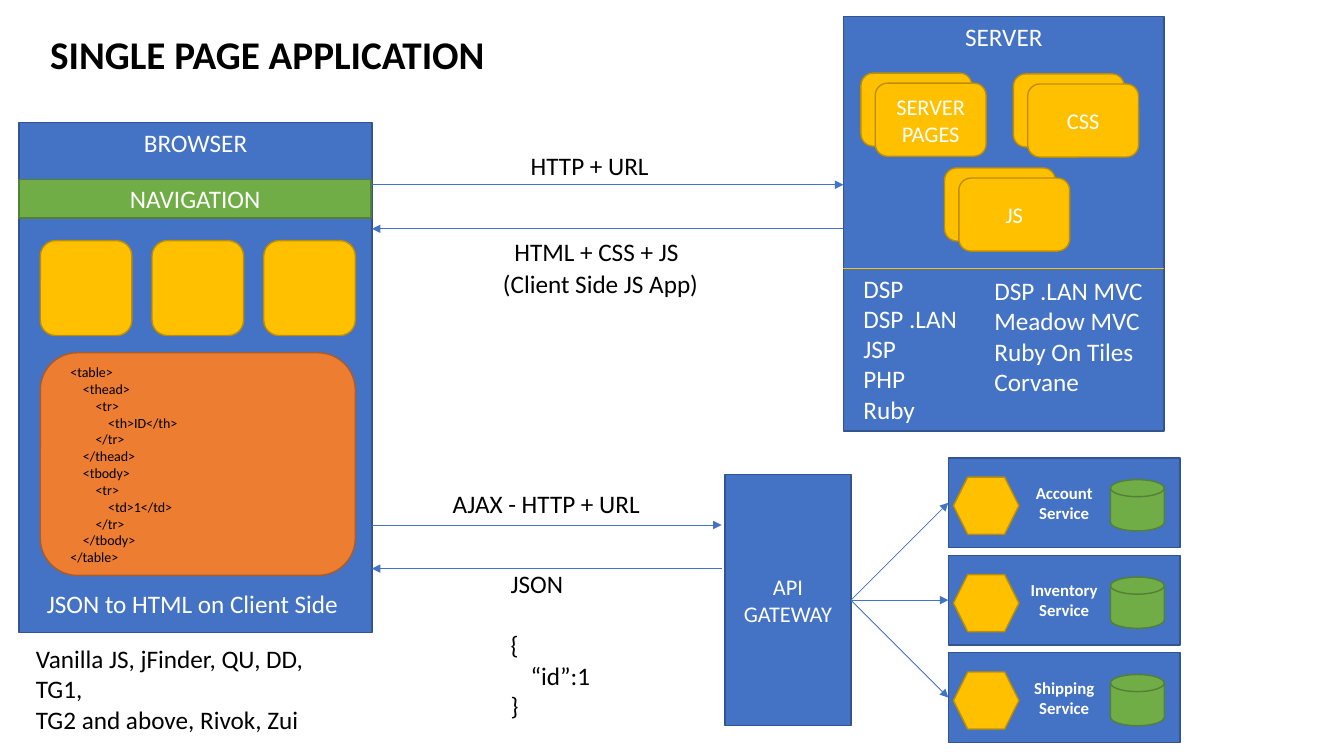
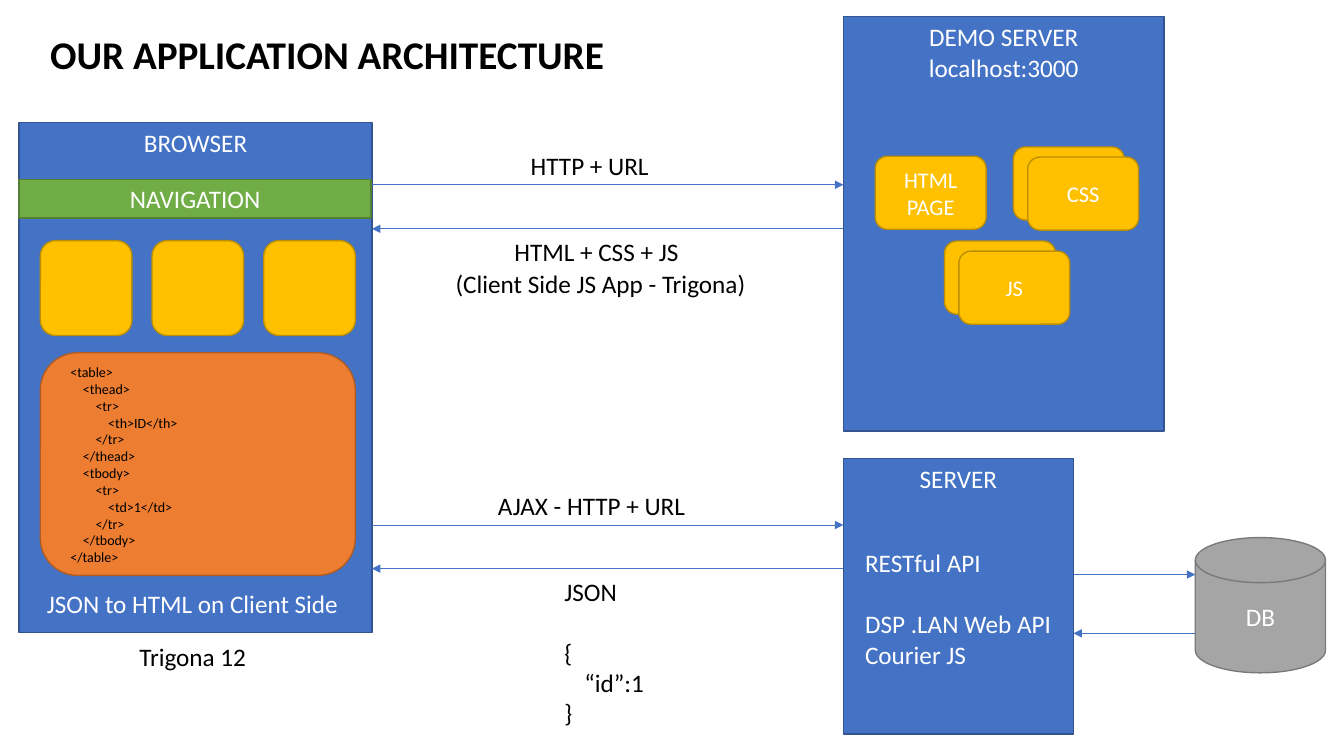
from pptx import Presentation
from pptx.dml.color import RGBColor
from pptx.enum.shapes import MSO_CONNECTOR, MSO_SHAPE
from pptx.enum.text import MSO_ANCHOR, MSO_AUTO_SIZE, PP_ALIGN
from pptx.oxml.ns import qn
from pptx.util import Inches, Pt
from lxml import etree

RECT, ROUND = MSO_SHAPE.RECTANGLE, MSO_SHAPE.ROUNDED_RECTANGLE
HEX, DISK = MSO_SHAPE.HEXAGON, MSO_SHAPE.FLOWCHART_MAGNETIC_DISK
LEFT, MID = PP_ALIGN.LEFT, PP_ALIGN.CENTER
TOP, CORE = MSO_ANCHOR.TOP, MSO_ANCHOR.MIDDLE
GROW, LINE = MSO_AUTO_SIZE.SHAPE_TO_FIT_TEXT, MSO_CONNECTOR.STRAIGHT

FONT = "Calibri"
COLS, ROWS = 160, 90
WIDE, HIGH = Inches(13.333), Inches(7.5)
HUES = {
    "blue": "4472C4", "blue_rim": "325491",
    "gold": "FFC000", "gold_rim": "BD8E00",
    "green": "70AD47", "green_rim": "538035",
    "rust": "ED7D31", "rust_rim": "AF5C24",
    "gray": "A5A5A5", "gray_rim": "7A7A7A",
    "white": "FFFFFF", "black": "000000",
}
CODE = """<table>
\t<thead>
\t\t<tr>
\t\t\t<th>ID</th>
\t\t</tr>
\t</thead>
\t<tbody>
\t\t<tr>
\t\t\t<td>1</td>
\t\t</tr>
\t</tbody>
</table>"""
JSON = "JSON\n\n{\n\t“id”:1\n}"

WEB_X, WEB_W = 2.28, 42
WEB_END = WEB_X + WEB_W
HOST_X, HOST_W = 100.4, 38.2
TILE_W, TILE_H = 13.2, 8.7
ASK_Y, REPLY_Y = 22, 27.24
AJAX_Y, DATA_Y = 62.5, 67.7


def col(x):
    """Turn grid columns into a length."""
    return round(WIDE * x / COLS)


def row(y):
    """Turn grid rows into a length."""
    return round(HIGH * y / ROWS)


def area(x, y, w, h):
    """Turn a grid area into left, top, width and height."""
    return col(x), row(y), col(w), row(h)


def hue(name):
    """Return the named colour."""
    return RGBColor.from_string(HUES[name])


def write(frame, text, size=18, color="white", bold=False, align=MID,
          anchor=TOP, step=0.2):
    """Fill a frame; tabs indent a line, an empty line opens a gap."""
    frame.vertical_anchor = anchor
    gap, first = 0, True
    for line in text.split("\n"):
        if not line:
            gap = size * 1.22
            continue
        para = frame.paragraphs[0] if first else frame.add_paragraph()
        para.alignment = align
        if gap:
            para.space_before = Pt(gap)
        words = line.lstrip("\t")
        depth = len(line) - len(words)
        if depth:
            props = para._p.get_or_add_pPr()
            props.set("marL", str(Inches(depth * step)))
            props.set("indent", "0")
        run = para.add_run()
        run.text = words
        run.font.name, run.font.size = FONT, Pt(size)
        run.font.bold, run.font.color.rgb = bold, hue(color)
        gap, first = 0, False


def label(pool, box, text, wrap=False, color="black", align=LEFT, **form):
    """Add a text box."""
    note = pool.add_textbox(*area(*box))
    note.text_frame.word_wrap = wrap
    note.text_frame.auto_size = GROW
    write(note.text_frame, text, color=color, align=align, **form)


def block(pool, box, fill, text="", kind=RECT, **form):
    """Add a filled shape with a darker rim and optional text."""
    shape = pool.add_shape(kind, *area(*box))
    shape.shadow.inherit = False
    shape.fill.solid()
    shape.fill.fore_color.rgb = hue(fill)
    shape.line.color.rgb = hue(fill + "_rim")
    shape.line.width = Pt(1)
    if text:
        write(shape.text_frame, text, **form)
    return shape


def link(pool, start, end, color="blue", head=True):
    """Add a thin line, with an arrowhead unless told otherwise."""
    wire = pool.add_connector(LINE, col(start[0]), row(start[1]),
                              col(end[0]), row(end[1]))
    wire.line.color.rgb = hue(color)
    wire.line.width = Pt(0.5)
    props = wire._element.spPr
    if head:
        tip = etree.SubElement(props.find(qn("a:ln")), qn("a:tailEnd"))
        tip.set("type", "triangle")
    etree.SubElement(props, qn("a:effectLst"))
    return wire


def tile(pool, x, y, text, stack=True):
    """Add a gold file tile, with a second one behind it if stacked."""
    if stack:
        pool = pool.add_group_shape().shapes
        block(pool, (x - 1.7, y - 1.2, TILE_W, TILE_H), "gold", kind=ROUND)
    block(pool, (x, y, TILE_W, TILE_H), "gold", text, kind=ROUND,
          size=16, anchor=CORE)


def tiles(pool, y, front, stack):
    """Add the three file tiles of a server."""
    tile(pool, 104.2, y, front, stack)
    tile(pool, 122.35, y + 0.1, "CSS")
    tile(pool, 114.15, y + 11.3, "JS")


def browser(pool):
    """Add the browser panel."""
    block(pool, (WEB_X, 14.6, WEB_W, 60.7), "blue", "BROWSER")
    for i in range(3):
        block(pool, (4.8 + 13.3 * i, 28.65, 10.9, 11.3), "gold", kind=ROUND)
    block(pool, (4.8, 42, 37.5, 26.5), "rust", kind=ROUND)
    block(pool, (WEB_X, 21.4, 41.9, 4.55), "green", "NAVIGATION", anchor=CORE)
    label(pool, (4.4, 69.5, 37.6, 4.8), "JSON to HTML on Client Side",
          color="white")
    label(pool, (7.2, 42.7, 29.3, 25.4), CODE, wrap=True, size=10, step=0.125)


def trade(pool, y, back, left, right):
    """Add a request arrow and the reply arrow below it."""
    link(pool, (left, y), (right, y))
    link(pool, (right, back), (left, back))


def base(deck, title, width, host, app, app_w, ajax_end):
    """Start a slide with the parts that both share."""
    pool = deck.slides.add_slide(deck.slide_layouts[6]).shapes
    label(pool, (4.8, 3, width, 6.8), title, size=28, bold=True)
    block(pool, (HOST_X, 2, HOST_W, 49.3), "blue", host)
    browser(pool)
    trade(pool, ASK_Y, REPLY_Y, WEB_END, HOST_X)
    trade(pool, AJAX_Y, DATA_Y, WEB_END, ajax_end)
    label(pool, (62, 17.35, 16.7, 4.8), "HTTP + URL")
    label(pool, (59.9, 27.5, 22.2, 4.8), "HTML + CSS + JS", align=MID)
    label(pool, (71.5 - app_w / 2, 31.3, app_w, 4.8), app, wrap=True,
          align=MID)
    return pool


def ajax(pool, x, y, data_x, data_y):
    """Add the captions of the AJAX call and its reply."""
    label(pool, (x, y, 25, 4.8), "AJAX - HTTP + URL")
    label(pool, (data_x, data_y, 12, 19.4), JSON)


def service(pool, y, name):
    """Add a service with its hexagon and data store."""
    part = pool.add_group_shape().shapes
    x = 112.9
    card = block(part, (x, y, 27.6, 10.7), "blue", name + "\nService",
                 size=12, bold=True, anchor=CORE)
    block(part, (x + 0.6, y + 2.3, 7.8, 6.8), "gold", kind=HEX)
    block(part, (x + 19.3, y + 2.6, 6.4, 6.1), "green", kind=DISK)
    return card


def single(deck):
    """Build the single page application slide."""
    pool = base(deck, "SINGLE PAGE APPLICATION", 54.7, "SERVER",
                "(Client Side JS App)", 30.5, 85.9)
    tiles(pool, 9.9, "SERVER PAGES", True)
    link(pool, (HOST_X, 32), (HOST_X + HOST_W, 32), "gold", False)
    label(pool, (101.6, 31.9, 14.5, 19.4), "DSP\nDSP .LAN\nJSP\nPHP\nRuby",
          color="white")
    label(pool, (117.2, 32.2, 21.4, 15.7),
          "DSP .LAN MVC\nMeadow MVC\nRuby On Tiles\nCorvane",
          wrap=True, color="white")
    label(pool, (3.1, 76, 40.3, 8.5),
          "Vanilla JS, jFinder, QU, DD, TG1,\nTG2 and above, Rivok, Zui")
    ajax(pool, 52.7, 57.6, 59.6, 67.1)
    gate = block(pool, (86.3, 56.5, 15, 29.9), "blue", "API GATEWAY",
                 size=16, anchor=CORE)
    for i, name in enumerate(("Account", "Inventory", "Shipping")):
        card = service(pool, 54.5 + 11.6 * i, name)
        wire = link(pool, (0, 0), (1, 1))
        wire.begin_connect(gate, 3)
        wire.end_connect(card, 1)


def ours(deck):
    """Build the application architecture slide."""
    pool = base(deck, "OUR APPLICATION ARCHITECTURE", 69.1,
                "DEMO SERVER\nlocalhost:3000",
                "(Client Side JS App - Trigona)", 43.6, HOST_X)
    tiles(pool, 18.6, "HTML PAGE", False)
    label(pool, (15.4, 75.8, 15.7, 4.8), "Trigona 12")
    ajax(pool, 58.1, 57.8, 66, 68)
    api_w, disk_x = 27.4, 142.3
    block(pool, (HOST_X, 54.6, api_w, 32.8), "blue", "SERVER")
    label(pool, (101.8, 64.6, 24.6, 15.7),
          "RESTful API\n\nDSP .LAN Web API\nCourier JS", color="white")
    block(pool, (disk_x, 64, 15.5, 16.1), "gray", "DB", kind=DISK,
          anchor=CORE)
    trade(pool, 68.4, 75.4, HOST_X + api_w, disk_x)


def main():
    """Build and save the deck."""
    deck = Presentation()
    deck.slide_width, deck.slide_height = WIDE, HIGH
    single(deck)
    ours(deck)
    deck.save("out.pptx")


if __name__ == "__main__":
    main()
